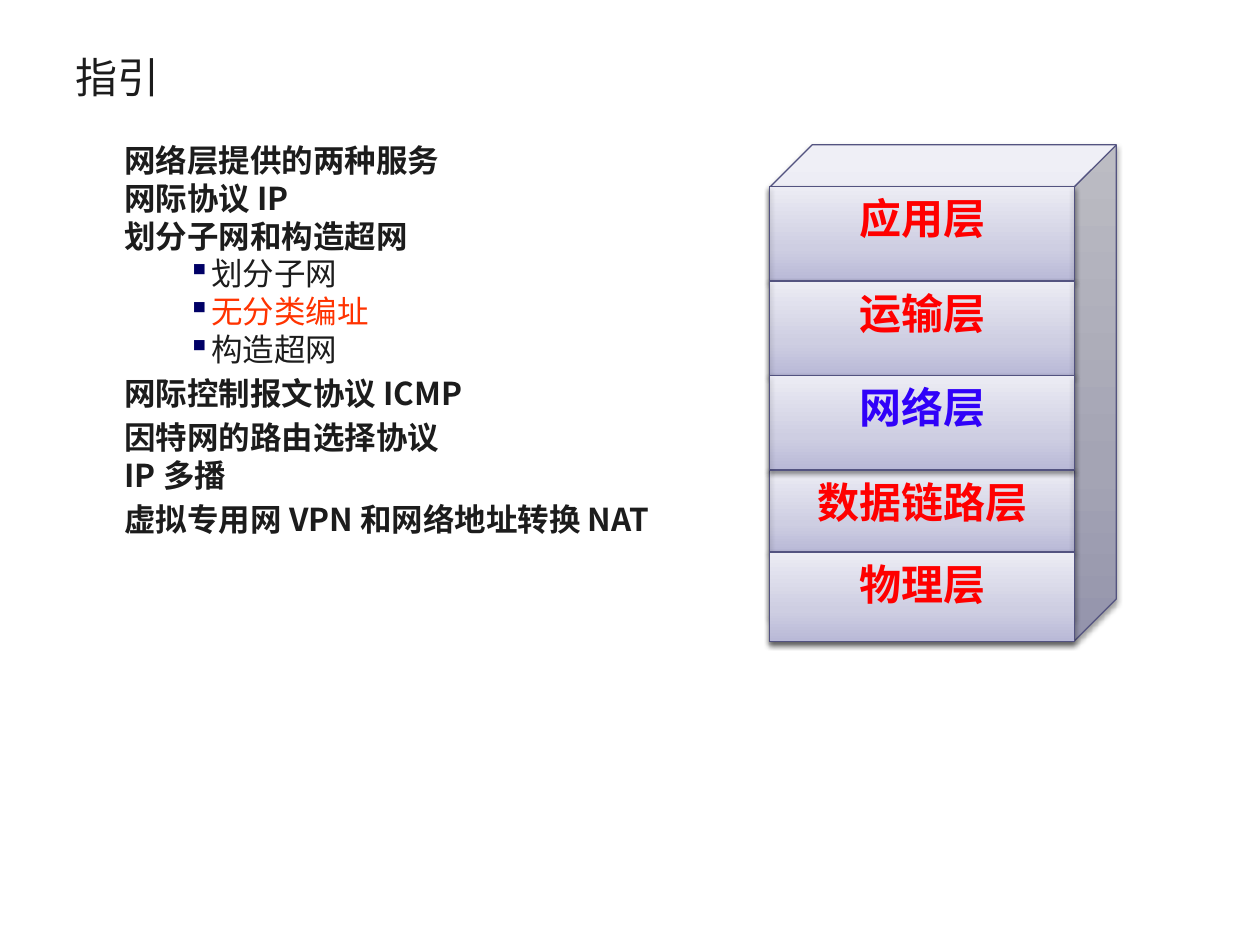
from dataclasses import dataclass
from lxml import etree
from pptx import Presentation
from pptx.dml.color import RGBColor
from pptx.enum.shapes import MSO_CONNECTOR, MSO_SHAPE
from pptx.enum.text import MSO_ANCHOR, PP_ALIGN
from pptx.oxml.ns import qn
from pptx.util import Emu, Inches, Pt

CUBE, RECT = MSO_SHAPE.CUBE, MSO_SHAPE.RECTANGLE
STRAIGHT = MSO_CONNECTOR.STRAIGHT
TOP, MIDDLE = MSO_ANCHOR.TOP, MSO_ANCHOR.MIDDLE
LEFT, CENTER = PP_ALIGN.LEFT, PP_ALIGN.CENTER
COLUMNS, ROWS = 100, 75


@dataclass(frozen=True)
class Theme:
    font: str = "Noto Sans CJK SC"
    alt_font: str = "Karla"
    ink: str = "1C1C1C"
    accent: str = "FF3300"
    bullet: str = "000066"
    layer: str = "FF0000"
    current: str = "3001F9"
    edge: str = "535380"
    gradient: tuple = ((0, "B9B9D7"), (35, "CECEE2"), (100, "ECECF4"))
    large: int = 24
    body: int = 18
    line: float = 0.75
    gap: float = 0.2


def add(parent, tag, **attrs):
    return etree.SubElement(parent, qn(tag), {k: str(v) for k, v in attrs.items()})


class Slide:
    def __init__(self, prs, theme):
        self.theme = theme
        self.s = prs.slides.add_slide(prs.slide_layouts[6])
        self.col = prs.slide_width / COLUMNS
        self.row = prs.slide_height / ROWS
        self.stack = None

    def x(self, n):
        return Emu(round(n * self.col))

    def y(self, n):
        return Emu(round(n * self.row))

    def box(self, left, top, width, height):
        return self.x(left), self.y(top), self.x(width), self.y(height)

    def start_stack(self):
        self.stack = self.s.shapes.add_group_shape()

    def run(self, p, text, size, color, bold=False, font=None):
        r = p.add_run()
        r.text = text
        r.font.size = Pt(size)
        r.font.bold = bold
        r.font.name = font or self.theme.font
        r.font.color.rgb = RGBColor.from_string(color)
        add(r.font._element, "a:ea", typeface=self.theme.font)

    def text(self, box, anchor):
        tf = self.s.shapes.add_textbox(*self.box(*box)).text_frame
        tf.word_wrap = True
        tf.vertical_anchor = anchor
        return tf

    def title(self, box, text):
        p = self.text(box, MIDDLE).paragraphs[0]
        self.run(p, text, self.theme.large, self.theme.ink)

    def outline(self, box, items):
        t = self.theme
        tf = self.text(box, TOP)
        for i, (text, level, spaced, color) in enumerate(items):
            p = tf.paragraphs[0] if i == 0 else tf.add_paragraph()
            p.level = level
            p.alignment = LEFT
            p.space_before = Pt(t.body * t.gap if spaced else 0)
            pPr = p._p.get_or_add_pPr()
            margin, indent = ((0.38, 0.01), (0.9, -0.01))[level]
            pPr.set("marL", str(Inches(margin)))
            pPr.set("indent", str(Inches(indent)))
            if level:
                add(add(pPr, "a:buClr"), "a:srgbClr", val=t.bullet)
                add(pPr, "a:buChar", char="▪")
            else:
                add(pPr, "a:buNone")
            self.run(p, text, t.body, color, bold=not level)

    def shadow(self, spPr):
        for old in spPr.findall(qn("a:effectLst")):
            spPr.remove(old)
        outer = add(add(spPr, "a:effectLst"), "a:outerShdw", blurRad=Pt(3.1),
                    dist=Pt(1.6), dir=5400000, rotWithShape=0)
        add(add(outer, "a:srgbClr", val="000000"), "a:alpha", val=38000)

    def edge(self, shape):
        shape.line.color.rgb = RGBColor.from_string(self.theme.edge)
        shape.line.width = Pt(self.theme.line)
        self.shadow(shape._element.spPr)

    def block(self, kind, box):
        sp = self.stack.shapes.add_shape(kind, *self.box(*box))
        sp.fill.gradient()
        sp.fill.gradient_angle = 90
        stops = sp._element.spPr.find(qn("a:gradFill")).find(qn("a:gsLst"))
        for stop in list(stops):
            stops.remove(stop)
        for pos, color in self.theme.gradient:
            add(add(stops, "a:gs", pos=pos * 1000), "a:srgbClr", val=color)
        self.edge(sp)
        return sp

    def cube(self, box, depth):
        self.block(CUBE, box).adjustments[0] = depth

    def layer(self, box, text, color, font):
        t = self.theme
        tf = self.block(RECT, box).text_frame
        tf.word_wrap = True
        tf.vertical_anchor = TOP
        p = tf.paragraphs[0]
        p.alignment = CENTER
        p.space_before = Pt(t.large * t.gap)
        self.run(p, text, t.large, color, True, font)

    def line(self, x1, y1, x2, y2):
        self.edge(self.stack.shapes.add_connector(
            STRAIGHT, self.x(x1), self.y(y1), self.x(x2), self.y(y2)))


theme = Theme()
prs = Presentation()
prs.slide_width, prs.slide_height = Inches(10), Inches(7.5)
slide = Slide(prs, theme)

slide.title((5, 3, 90, 6.1), "指引")
slide.outline((5, 10.7, 90, 52.3), (
    ("网络层提供的两种服务", 0, False, theme.ink),
    ("网际协议 IP", 0, False, theme.ink),
    ("划分子网和构造超网", 0, False, theme.ink),
    ("划分子网", 1, False, theme.ink),
    ("无分类编址", 1, False, theme.accent),
    ("构造超网", 1, False, theme.ink),
    ("网际控制报文协议 ICMP", 0, True, theme.ink),
    ("因特网的路由选择协议", 0, True, theme.ink),
    ("IP 多播", 0, False, theme.ink),
    ("虚拟专用网 VPN 和网络地址转换 NAT", 0, True, theme.ink),
))

left, width = 61.1, 24.2
right = left + width
slide.start_stack()
slide.cube((left, 11.5, 27.5, 39.4), 0.122)
layers = (
    ("应用层", 14.8, 7.5, theme.layer, theme.font, (22.3,), 22.3),
    ("运输层", 22.3, 7.5, theme.layer, theme.font, (29.8,), 29.8),
    ("数据链路层", 37.3, 6.5, theme.layer, theme.alt_font, (37.3, 49), 49),
    ("网络层", 29.8, 7.5, theme.current, theme.alt_font, (), 37.3),
    ("物理层", 43.8, 7.1, theme.layer, theme.alt_font, (), None),
)
for name, top, height, color, font, rules, side_end in layers:
    slide.layer((left, top, width, height), name, color, font)
    for y in rules:
        slide.line(left, y, right, y)
    if side_end:
        for x in (left, right):
            slide.line(x, top, x, side_end)

prs.save("out.pptx")
